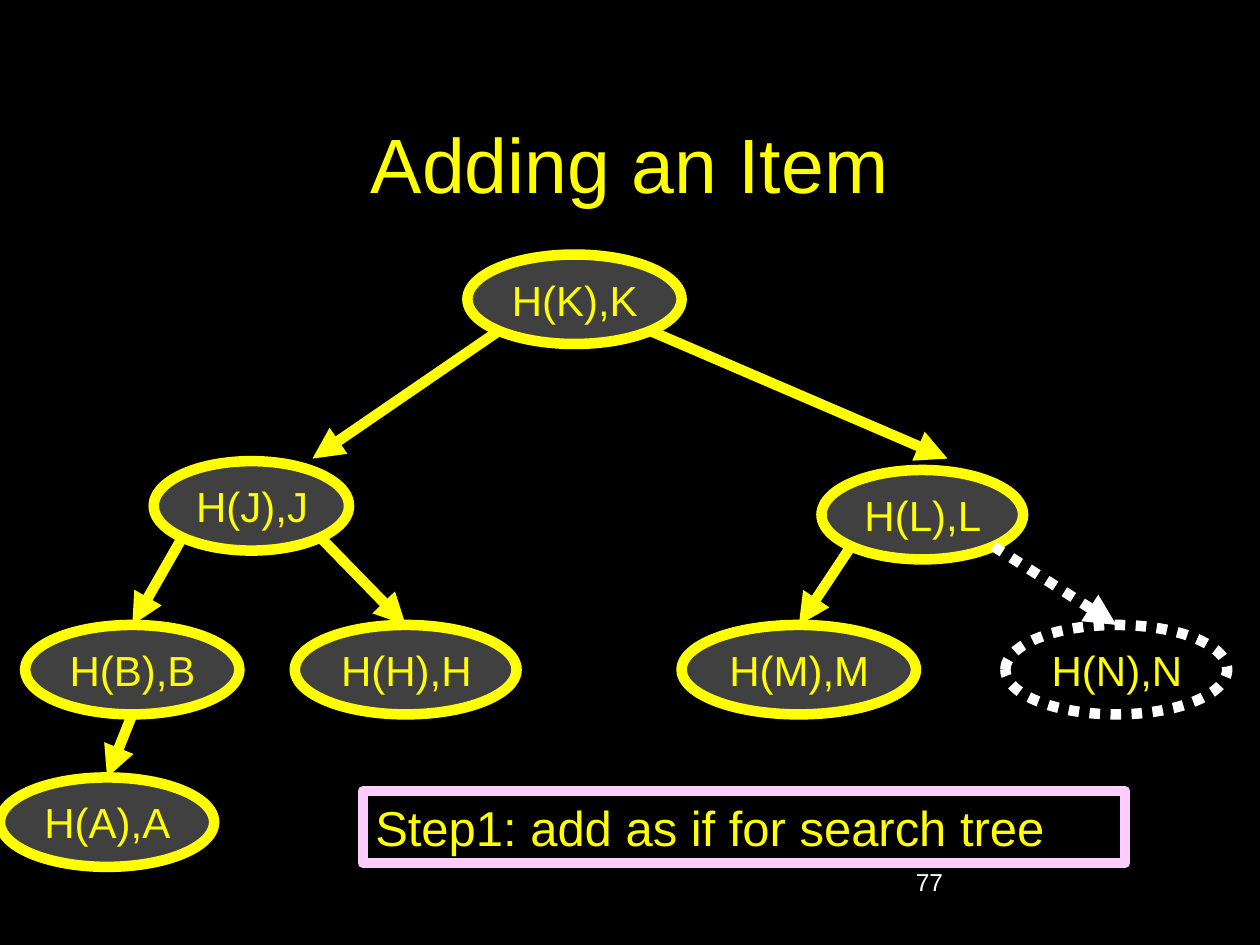
from math import sqrt

from lxml.etree import SubElement
from pptx import Presentation
from pptx.dml.color import RGBColor
from pptx.enum.dml import MSO_LINE
from pptx.enum.shapes import MSO_CONNECTOR, MSO_SHAPE
from pptx.enum.text import MSO_ANCHOR, MSO_AUTO_SIZE, PP_ALIGN
from pptx.oxml.ns import qn
from pptx.util import Inches, Pt

BLACK = RGBColor(0x00, 0x00, 0x00)
WHITE = RGBColor(0xFF, 0xFF, 0xFF)
YELLOW = RGBColor(0xFF, 0xFF, 0x00)
GRAY = RGBColor(0x40, 0x40, 0x40)
PINK = RGBColor(0xFF, 0xCC, 0xFF)

NODE_H = 0.71
NODES = {
    "K": (3.71, 2.02, 1.7),
    "J": (1.22, 3.66, 1.55),
    "B": (0.2, 4.96, 1.7),
    "A": (0, 6.17, 1.7),
    "H": (2.34, 4.96, 1.76),
    "L": (6.52, 3.73, 1.6),
    "M": (5.41, 4.96, 1.86),
    "N": (7.98, 4.96, 1.76),
}
EDGES = [("K", "J", -1), ("K", "L", 1), ("J", "B", -1), ("B", "A", 0),
         ("J", "H", 1), ("L", "M", -1), ("L", "N", 1)]
ARROW_ENDS = {"J": (2.48, 3.64), "L": (7.52, 3.64)}
NEW_NODE = "N"


def add_text(tf, text, size, color=YELLOW, align=PP_ALIGN.LEFT):
    p = tf.paragraphs[0]
    p.alignment = align
    r = p.add_run()
    r.text = text
    r.font.size = Pt(size)
    r.font.name = "Arial"
    r.font.color.rgb = color


def style_line(line, color, dotted=False):
    line.color.rgb = color
    line.width = Pt(6)
    if dotted:
        line.dash_style = MSO_LINE.ROUND_DOT


def add_title(s, box):
    sp = s.shapes.title
    sp.left, sp.top, sp.width, sp.height = map(Inches, box)
    sp.text_frame.vertical_anchor = MSO_ANCHOR.MIDDLE
    add_text(sp.text_frame, "Adding an Item", 44, align=PP_ALIGN.CENTER)


def add_node(s, key, box):
    sp = s.shapes.add_shape(MSO_SHAPE.OVAL, *map(Inches, box))
    sp.shadow.inherit = False
    if key == NEW_NODE:
        sp.fill.background()
        style_line(sp.line, WHITE, dotted=True)
    else:
        sp.fill.solid()
        sp.fill.fore_color.rgb = GRAY
        style_line(sp.line, YELLOW)
    tf = sp.text_frame
    tf.word_wrap = False
    tf.auto_size = MSO_AUTO_SIZE.SHAPE_TO_FIT_TEXT
    tf.vertical_anchor = MSO_ANCHOR.MIDDLE
    add_text(tf, f"H({key}),{key}", 24, align=PP_ALIGN.RIGHT)


def add_edge(s, parent, child, side):
    x, y, w = NODES[parent]
    drop = 1 / sqrt(2) if side else 1
    start = (x + w / 2 * (1 + side / sqrt(2)), y + NODE_H / 2 * (1 + drop))
    cx, cy, cw = NODES[child]
    end = ARROW_ENDS.get(child, (cx + cw / 2, cy))
    line = s.shapes.add_connector(MSO_CONNECTOR.STRAIGHT, *map(Inches, start + end))
    is_new = child == NEW_NODE
    style_line(line.line, WHITE if is_new else YELLOW, dotted=is_new)
    SubElement(line.line._get_or_add_ln(), qn("a:tailEnd"), type="triangle")
    SubElement(line._element.spPr, qn("a:effectLst"))


def add_tree(s):
    for key, (x, y, w) in NODES.items():
        add_node(s, key, (x, y, w, NODE_H))
    for edge in EDGES:
        add_edge(s, *edge)


def add_step(s, box):
    sp = s.shapes.add_shape(MSO_SHAPE.RECTANGLE, *map(Inches, box))
    sp.shadow.inherit = False
    sp.fill.solid()
    sp.fill.fore_color.rgb = BLACK
    style_line(sp.line, PINK)
    tf = sp.text_frame
    tf.word_wrap = True
    tf.auto_size = MSO_AUTO_SIZE.SHAPE_TO_FIT_TEXT
    tf.vertical_anchor = MSO_ANCHOR.TOP
    add_text(tf, "Step1: add as if for search tree", 28)


def add_page_number(s, box):
    tf = s.shapes.add_textbox(*map(Inches, box)).text_frame
    tf.word_wrap = True
    add_text(tf, "77", 14, WHITE)


def main():
    prs = Presentation()
    prs.slide_width, prs.slide_height = Inches(10), Inches(7.5)
    s = prs.slides.add_slide(prs.slide_layouts[5])
    s.background.fill.solid()
    s.background.fill.fore_color.rgb = BLACK
    add_title(s, (0.75, 0.67, 8.5, 1.25))
    add_page_number(s, (7.17, 6.83, 2.08, 0.5))
    add_step(s, (2.88, 6.28, 6.05, 0.57))
    add_tree(s)
    prs.save("out.pptx")


if __name__ == "__main__":
    main()
